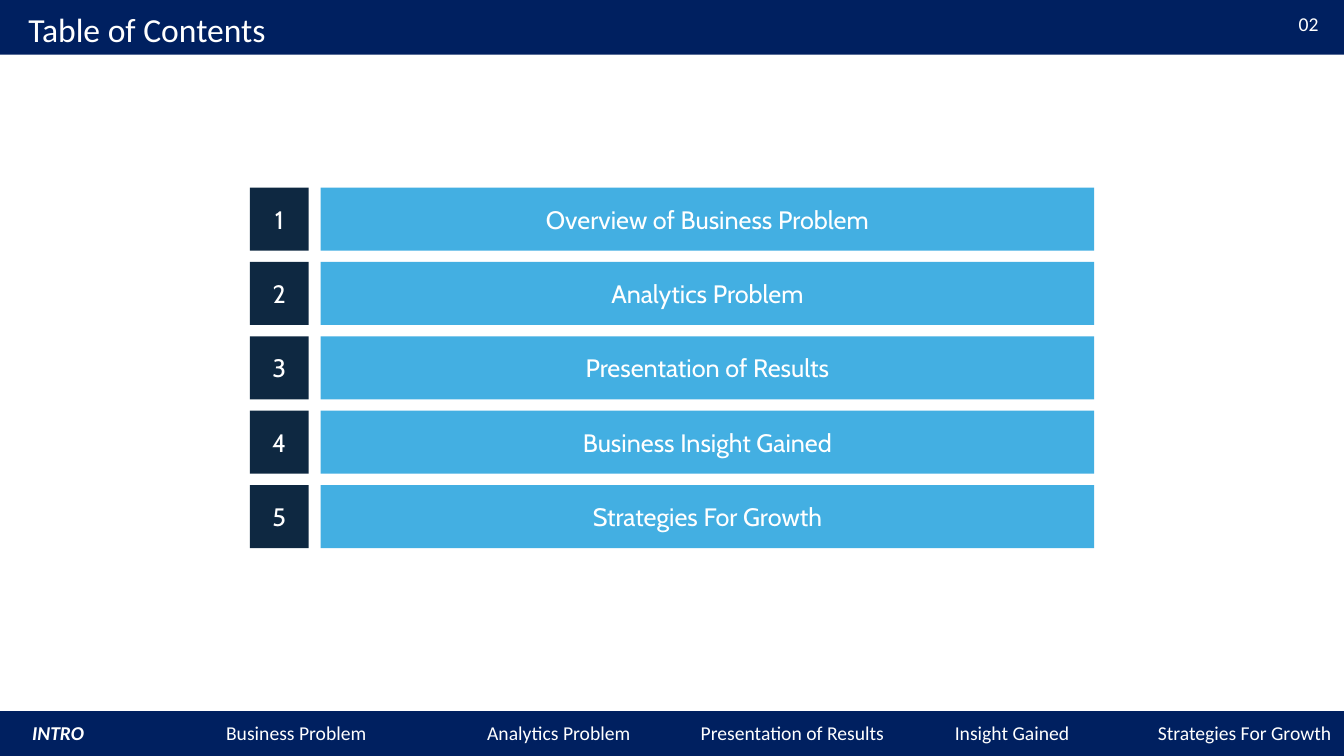
import pptx
import pptx.dml.color
import pptx.enum.shapes
import pptx.enum.text
import pptx.oxml
import pptx.util
import lxml.etree

Pt = pptx.util.Pt
RGBColor = pptx.dml.color.RGBColor
Align = pptx.enum.text.PP_ALIGN
Anchor = pptx.enum.text.MSO_ANCHOR

NAVY = RGBColor(0x00, 0x20, 0x60)
INK = RGBColor(0x0E, 0x28, 0x41)
SKY = RGBColor(0x43, 0xAF, 0xE2)
WHITE = RGBColor(0xFF, 0xFF, 0xFF)

SLIDE_WIDTH, SLIDE_HEIGHT = 960, 540
CONTENTS = [
    "Overview of Business Problem",
    "Analytics Problem",
    "Presentation of Results",
    "Business Insight Gained",
    "Strategies For Growth",
]
SECTIONS = [
    ("INTRO", 23),
    ("Business Problem", 161.5),
    ("Analytics Problem", 348),
    ("Presentation of Results", 500.5),
    ("Insight Gained", 682),
    ("Strategies For Growth", 827),
]


def add_block(slide, left, top, width, height, color):
    """Add a plain filled rectangle."""
    shape = slide.shapes.add_shape(
        pptx.enum.shapes.MSO_SHAPE.RECTANGLE, Pt(left), Pt(top), Pt(width), Pt(height))
    shape.shadow.inherit = False
    shape.fill.solid()
    shape.fill.fore_color.rgb = color
    shape.line.fill.background()
    return shape


def style_paragraph(paragraph, font_name, size, alignment):
    """Set the font and alignment of a white paragraph."""
    paragraph.alignment = alignment
    paragraph.font.name = font_name
    paragraph.font.size = Pt(size)
    paragraph.font.color.rgb = WHITE


def write_text(shape, text, font_name, size, alignment, anchor):
    """Write one paragraph into a shape."""
    frame = shape.text_frame
    frame.word_wrap = True
    frame.auto_size = pptx.enum.text.MSO_AUTO_SIZE.NONE
    frame.vertical_anchor = anchor
    frame.text = text
    style_paragraph(frame.paragraphs[0], font_name, size, alignment)


def add_header(slide, left, top, width, height):
    """Add the top band with the title and the page number."""
    title = slide.shapes.title
    band = add_block(slide, left, top, width, height, NAVY)
    title.element.addprevious(band.element)
    title.left, title.top = Pt(left + 13), Pt(top + 3.5)
    title.width, title.height = Pt(216), Pt(36)
    write_text(title, "Table of Contents", "Calibri", 24, Align.LEFT, Anchor.TOP)
    number = slide.shapes.add_textbox(
        Pt(left + width - 50.5), Pt(top + 5.5), Pt(50.5), Pt(24))
    write_text(number, "02", "Calibri", 14, Align.CENTER, Anchor.TOP)


def add_contents(slide, left, top, width, height):
    """Add the numbered rows, spread evenly over the box."""
    row_height, number_width, gap = 45, 42, 8.5
    pitch = (height - row_height) / (len(CONTENTS) - 1)
    label_left = left + number_width + gap
    for index, label in enumerate(CONTENTS):
        row_top = top + index * pitch
        number = add_block(slide, left, row_top, number_width, row_height, INK)
        write_text(number, str(index + 1), "Cabin", 18, Align.CENTER, Anchor.MIDDLE)
        bar = add_block(
            slide, label_left, row_top, left + width - label_left, row_height, SKY)
        write_text(bar, label, "Cabin", 18, Align.CENTER, Anchor.MIDDLE)


def add_footer(slide, left, top, width, height):
    """Add the bottom band with the section names set on tab stops."""
    add_block(slide, left, top, width, height, NAVY)
    box = slide.shapes.add_textbox(Pt(left), Pt(top), Pt(width), Pt(height))
    frame = box.text_frame
    frame.word_wrap = True
    start = SECTIONS[0][1]
    frame.margin_left, frame.margin_right = Pt(start), 0
    frame.margin_top = frame.margin_bottom = Pt(7.2)
    paragraph = frame.paragraphs[0]
    style_paragraph(paragraph, "Calibri", 14, Align.LEFT)
    tab_list = pptx.oxml.parse_xml(
        '<a:tabLst xmlns:a="http://schemas.openxmlformats.org/drawingml/2006/main"/>')
    for index, (name, position) in enumerate(SECTIONS):
        run = paragraph.add_run()
        run.text = "\t" + name if index else name
        run.font.bold = run.font.italic = index == 0
        if index:
            tab = lxml.etree.SubElement(tab_list, pptx.oxml.ns.qn("a:tab"))
            tab.set("pos", str(int(Pt(position - start))))
            tab.set("algn", "l")
    properties = paragraph._p.get_or_add_pPr()
    properties.insert(0, tab_list)


def main():
    """Build and save the contents slide."""
    presentation = pptx.Presentation()
    presentation.slide_width = Pt(SLIDE_WIDTH)
    presentation.slide_height = Pt(SLIDE_HEIGHT)
    slide = presentation.slides.add_slide(presentation.slide_layouts[5])
    add_header(slide, 0, -0.5, SLIDE_WIDTH, 39.5)
    add_contents(slide, 178.5, 134, 603, 257.5)
    add_footer(slide, 0, 508, SLIDE_WIDTH, 32)
    presentation.save("out.pptx")


if __name__ == "__main__":
    main()
